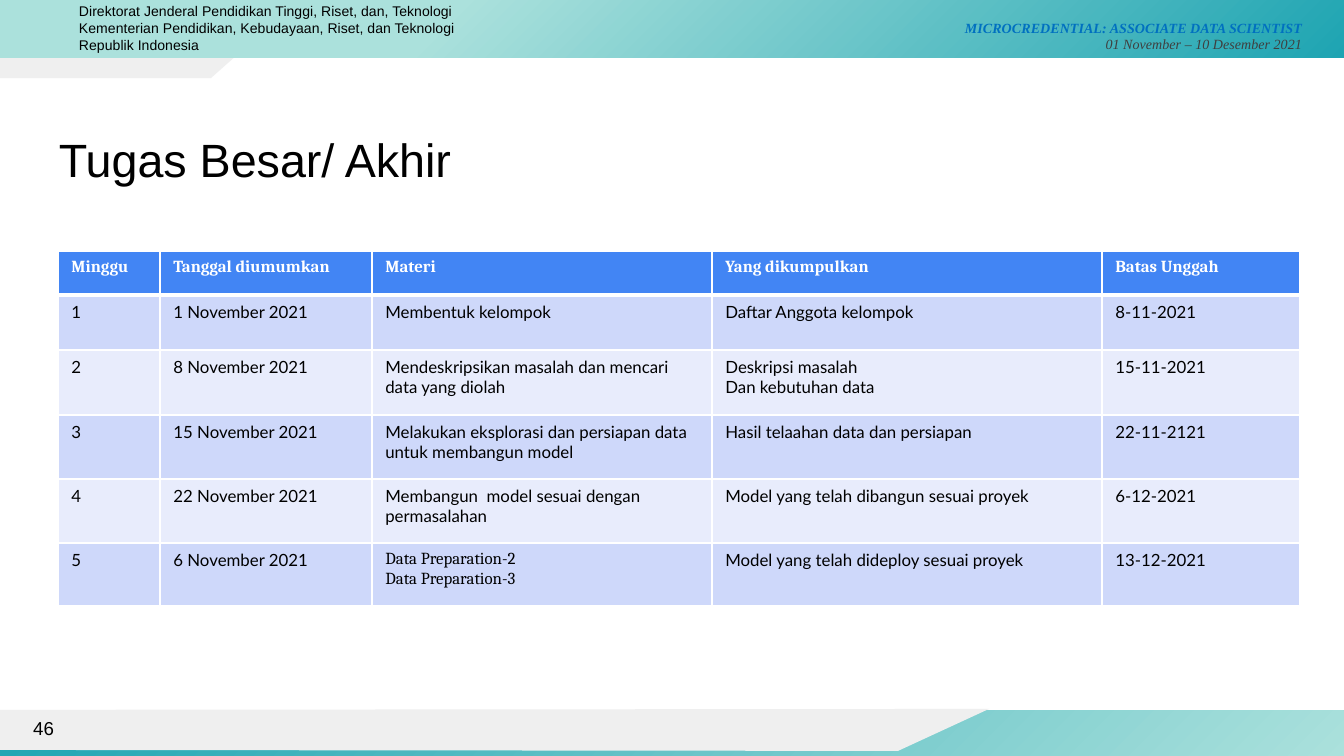
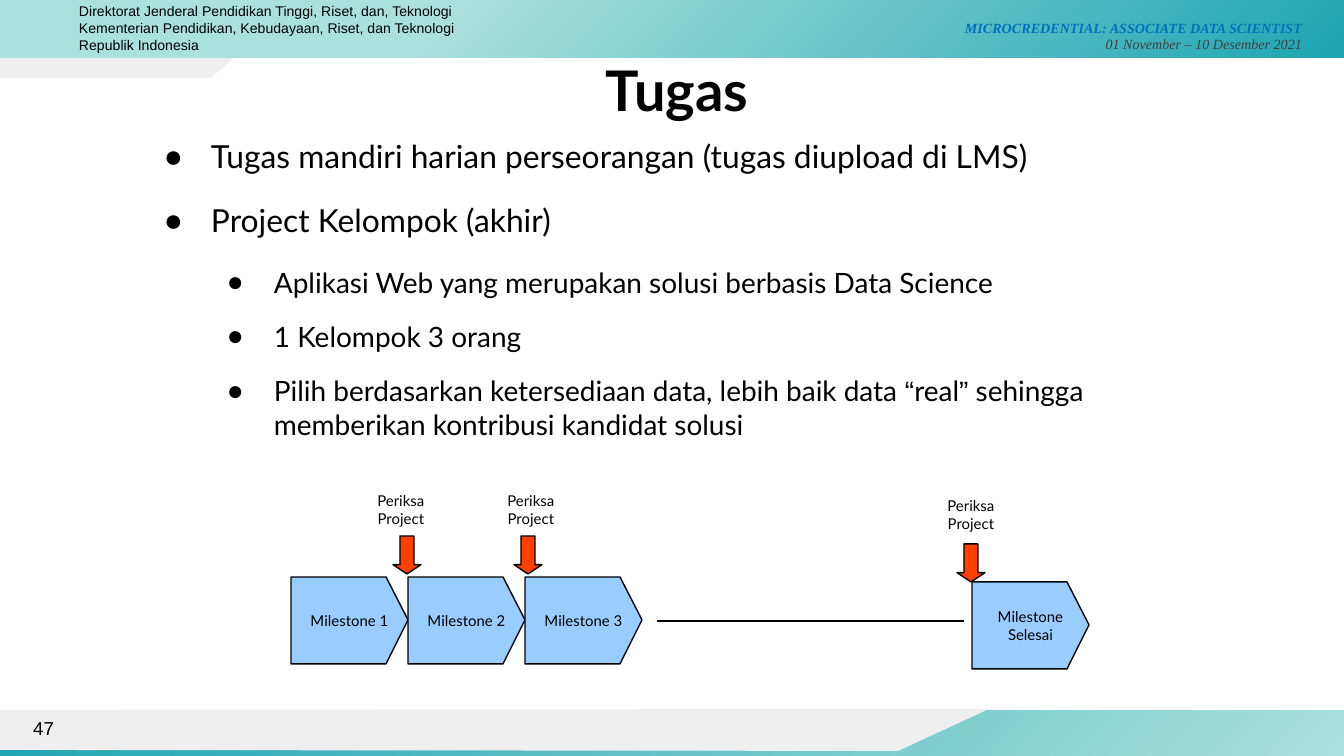
from lxml import etree
from pptx import Presentation
from pptx.dml.color import RGBColor
from pptx.enum.shapes import MSO_CONNECTOR, MSO_SHAPE
from pptx.enum.text import MSO_ANCHOR, MSO_AUTO_SIZE, PP_ALIGN
from pptx.oxml import parse_xml
from pptx.oxml.ns import nsdecls, qn
from pptx.util import Pt

PX = 914400 / 134.4
RECT, ARROW = MSO_SHAPE.RECTANGLE, MSO_SHAPE.DOWN_ARROW
STRAIGHT = MSO_CONNECTOR.STRAIGHT
LEFT, MID, RIGHT = PP_ALIGN.LEFT, PP_ALIGN.CENTER, PP_ALIGN.RIGHT
TOP, CENTER = MSO_ANCHOR.TOP, MSO_ANCHOR.MIDDLE

# Colours
BLACK = RGBColor(0x00, 0x00, 0x00)
WHITE = RGBColor(0xFF, 0xFF, 0xFF)
GREY = RGBColor(0xEF, 0xEF, 0xEF)
DARK = RGBColor(0x3F, 0x3F, 0x3F)
TEAL = RGBColor(0x1E, 0xA4, 0xB2)
MINT = RGBColor(0xAB, 0xE1, 0xDC)
BLUE = RGBColor(0x00, 0x70, 0xC0)
HEAD = RGBColor(0x42, 0x85, 0xF4)
ROWS = (RGBColor(0xCE, 0xD8, 0xFA), RGBColor(0xE8, 0xEC, 0xFC))
SKY = RGBColor(0x99, 0xCC, 0xFF)
RED = RGBColor(0xFF, 0x40, 0x00)

# Text formats
OFFICE = dict(name="Arial", size=7.5, color=BLACK)
COURSE = dict(name="Times New Roman", size=7.5, color=BLUE, bold=True, italic=True)
DATES = dict(COURSE, color=DARK, bold=False)
NUMBER = dict(name="Arial", size=10, color=BLACK)
TITLE = dict(name="Arial", size=25, color=BLACK, bold=False)
BOLD = dict(name="Lato", size=30, color=BLACK, bold=True)
TH = dict(name="Cambria", size=9, color=WHITE, bold=True)
TD = dict(name="Lato", size=9, color=BLACK, bold=False)
SERIF = dict(TD, name="Cambria")
BIG = dict(name="Lato", size=17, color=BLACK)
SMALL = dict(BIG, size=15)
QUOTE = dict(SMALL, name="Arial")
LABEL = dict(name="Lato", size=8, color=BLACK)

# Shared header: a paragraph is a list of (text, format) runs
AGENCY = [
    [("Direktorat Jenderal Pendidikan Tinggi, Riset, dan, Teknologi", OFFICE)],
    [("Kementerian Pendidikan, Kebudayaan, Riset, dan Teknologi "
      "Republik Indonesia", OFFICE)],
]
EVENT = [[("MICROCREDENTIAL: ASSOCIATE DATA SCIENTIST\n", COURSE),
          ("01 November – 10 Desember 2021", DATES)]]

# Schedule table
COLS = (102, 212, 340, 390, 198)
HIGH = (44, 55, 65, 64, 64, 63)
PLAN = [
    ("Minggu", "Tanggal diumumkan", "Materi", "Yang dikumpulkan", "Batas Unggah"),
    ("1", "1 November 2021", "Membentuk kelompok", "Daftar Anggota kelompok",
     "8-11-2021"),
    ("2", "8 November 2021", "Mendeskripsikan masalah dan mencari data yang diolah",
     "Deskripsi masalah\nDan kebutuhan data", "15-11-2021"),
    ("3", "15 November 2021",
     "Melakukan eksplorasi dan persiapan data untuk membangun model",
     "Hasil telaahan data dan persiapan", "22-11-2121"),
    ("4", "22 November 2021", "Membangun  model sesuai dengan permasalahan",
     "Model yang telah dibangun sesuai proyek", "6-12-2021"),
    ("5", "6 November 2021", "Data Preparation-2\nData Preparation-3",
     "Model yang telah dideploy sesuai proyek", "13-12-2021"),
]
SPECIAL = {(5, 2): SERIF}

# Task bullets: level, space before, runs
TASKS = [
    (0, 0, [("Tugas mandiri harian perseorangan (tugas diupload di LMS)", BIG)]),
    (0, 14, [("Project Kelompok (akhir)", BIG)]),
    (1, 14, [("Aplikasi Web yang merupakan solusi berbasis Data Science", SMALL)]),
    (1, 11, [("1 Kelompok 3 orang", SMALL)]),
    (1, 11, [("Pilih berdasarkan ketersediaan data, lebih baik data ", SMALL),
             ("“", QUOTE), ("real", SMALL), ("”", QUOTE),
             (" sehingga memberikan kontribusi kandidat solusi", SMALL)]),
]

# Milestone flow: text, left, top
STEP = 117
STEPS = [(f"Milestone {i + 1}", 291 + i * STEP, 577) for i in range(3)]
STEPS.append(("Milestone\nSelesai", 972, 582))
PENTA = ((0, 0), (95, 0), (117, 43), (95, 87), (0, 87))
CHECK = "Periksa\nProject"
# Label centre, label top, arrow centre, arrow top
CHECKS = [(401, 488, 407, 536), (531, 488, 528, 536), (971, 493, 971, 544)]


def px(*vals):
    return [round(v * PX) for v in vals]


def style(font, form):
    for key, val in form.items():
        if key == "color":
            font.color.rgb = val
        else:
            setattr(font, key, Pt(val) if key == "size" else val)


def plain(text, form):
    return [[(line, form)] for line in text.split("\n")]


def write(frame, paras, align=LEFT, anchor=TOP, ins=(13, 7, 13, 7)):
    sides = ("margin_left", "margin_top", "margin_right", "margin_bottom")
    for side, val in zip(sides, px(*ins)):
        setattr(frame, side, val)
    frame.word_wrap = True
    frame.auto_size = MSO_AUTO_SIZE.NONE
    frame.vertical_anchor = anchor
    fill(frame, paras, align)


def fill(frame, paras, align=LEFT):
    for i, runs in enumerate(paras):
        para = frame.paragraphs[0] if i == 0 else frame.add_paragraph()
        para.alignment = align
        for text, form in runs:
            run = para.add_run()
            run.text = text.rstrip("\n")
            style(run.font, form)
            if text.endswith("\n"):
                para.add_line_break()


def text(slide, box, paras, **opts):
    frame = slide.shapes.add_textbox(*px(*box)).text_frame
    write(frame, paras, **opts)
    return frame


def paint(shape, color, line=None):
    shape.shadow.inherit = False
    shape.fill.solid()
    shape.fill.fore_color.rgb = color
    if line is None:
        shape.line.fill.background()
    else:
        shape.line.color.rgb = line
        shape.line.width = Pt(0.75)


def outline(slide, points, color, line=None, left=0, top=0):
    spots = [(x + left, y + top) for x, y in points]
    pen = slide.shapes.build_freeform(*spots[0], scale=PX)
    pen.add_line_segments(spots[1:], close=True)
    shape = pen.convert_to_shape()
    paint(shape, color, line)
    return shape


def band(slide, box, stops):
    shape = slide.shapes.add_shape(RECT, *px(*box))
    paint(shape, TEAL)
    marks = "".join(f'<a:gs pos="{pos * 1000}"><a:srgbClr val="{color}"/></a:gs>'
                    for pos, color in stops)
    grad = parse_xml(
        f'<a:gradFill {nsdecls("a")} rotWithShape="1"><a:gsLst>{marks}</a:gsLst>'
        '<a:path path="circle"><a:fillToRect l="100000" t="100000"/></a:path>'
        '</a:gradFill>')
    props = shape._element.spPr
    props.replace(props.find(qn("a:solidFill")), grad)


def base(deck, number, name, box, form, **opts):
    """Add a slide with the shared bands, header, title and number."""
    slide = deck.slides.add_slide(deck.slide_layouts[5])
    outline(slide, ((246, 47), (0, 44), (0, 78), (211, 78)), GREY)
    band(slide, (0, 711, 1344, 48), ((0, MINT), (100, TEAL)))
    outline(slide, ((989, 709), (0, 710), (0, 750), (898, 751)), GREY)
    band(slide, (0, 0, 1344, 58), ((0, TEAL), (67, MINT), (100, MINT)))
    text(slide, (800, 7, 515, 52), EVENT, align=RIGHT, ins=(13, 12, 13, 7))
    text(slide, (66, -4, 448, 65), AGENCY)
    title = slide.shapes.title
    title.left, title.top, title.width, title.height = px(*box)
    write(title.text_frame, plain(name, form), anchor=CENTER, **opts)
    text(slide, (0, 708, 67, 41), plain(str(number), NUMBER),
         align=RIGHT, anchor=CENTER)
    return slide


def edge(cell, side, width):
    props = cell._tc.get_or_add_tcPr()
    line = etree.SubElement(props, qn(f"a:ln{side}"), w=str(Pt(width)))
    solid = etree.SubElement(line, qn("a:solidFill"))
    etree.SubElement(solid, qn("a:srgbClr"), val=str(WHITE))


def schedule(slide):
    box = px(58, 251, sum(COLS), sum(HIGH))
    table = slide.shapes.add_table(len(PLAN), len(COLS), *box).table
    table.horz_banding = False
    for col, width in zip(table.columns, px(*COLS)):
        col.width = width
    for r, (row, high) in enumerate(zip(PLAN, px(*HIGH))):
        table.rows[r].height = high
        for c, words in enumerate(row):
            cell = table.cell(r, c)
            form = SPECIAL.get((r, c), TD if r else TH)
            fill(cell.text_frame, plain(words, form))
            for side in "LRTB":
                thick = (r, side) in ((0, "B"), (1, "T"))
                edge(cell, side, 3 if thick else 0.96)
            cell.fill.solid()
            cell.fill.fore_color.rgb = ROWS[(r - 1) % 2] if r else HEAD


def bullets(slide):
    frame = text(slide, (148, 137, 984, 314), [runs for _, _, runs in TASKS],
                 ins=(0, 0, 0, 0))
    for para, (level, space, _) in zip(frame.paragraphs, TASKS):
        para.level = level
        para.space_before = Pt(space)
        props = para._p.get_or_add_pPr()
        left, hang = px(63 * (level + 1), -47)
        props.set("marL", str(left))
        props.set("indent", str(hang))
        color = etree.SubElement(props, qn("a:buClr"))
        etree.SubElement(color, qn("a:srgbClr"), val=str(BLACK))
        etree.SubElement(props, qn("a:buFont"), typeface="Arial")
        etree.SubElement(props, qn("a:buChar"), char="●")


def flow(slide):
    tight = dict(align=MID, ins=(9, 4, 9, 4))
    for name, left, top in STEPS:
        shape = outline(slide, PENTA, SKY, BLACK, left, top)
        write(shape.text_frame, plain(name, LABEL), anchor=CENTER, **tight)
    line = slide.shapes.add_connector(STRAIGHT, *px(657, 621, 964, 621))
    line.line.color.rgb = BLACK
    line.line.width = Pt(1)
    etree.SubElement(line._element.spPr, qn("a:effectLst"))
    for mid, top, tip, high in CHECKS:
        arrow = slide.shapes.add_shape(ARROW, *px(tip - 14, high, 28, 38))
        arrow.adjustments[0], arrow.adjustments[1] = 0.5, 0.33
        paint(arrow, RED, BLACK)
        text(slide, (mid - 58, top, 116, 46), plain(CHECK, LABEL), **tight)


def main():
    deck = Presentation()
    deck.slide_width, deck.slide_height = px(1344, 756)
    schedule(base(deck, 46, "Tugas Besar/ Akhir", (46, 117, 1253, 83), TITLE))
    tasks = base(deck, 47, "Tugas", (216, 51, 922, 77), BOLD,
                 align=MID, ins=(0, 0, 0, 0))
    bullets(tasks)
    flow(tasks)
    deck.save("out.pptx")


if __name__ == "__main__":
    main()
